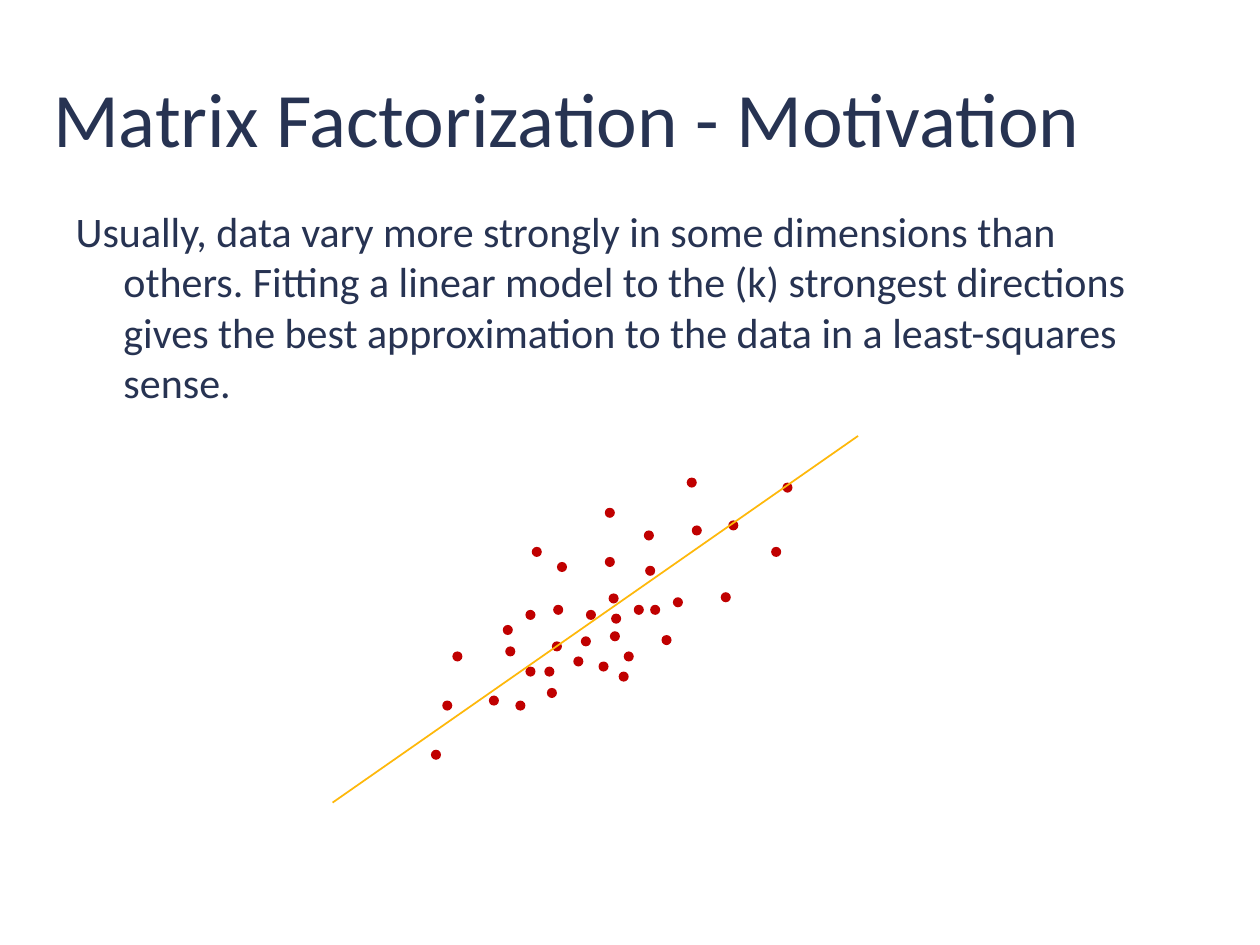
from lxml import etree
from pptx import Presentation
from pptx.dml.color import RGBColor
from pptx.enum.shapes import MSO_CONNECTOR, MSO_SHAPE
from pptx.enum.text import MSO_ANCHOR, MSO_AUTO_SIZE, PP_ALIGN
from pptx.oxml.ns import qn
from pptx.util import Inches, Pt

STRAIGHT = MSO_CONNECTOR.STRAIGHT
OVAL = MSO_SHAPE.OVAL
MIDDLE, TOP = MSO_ANCHOR.MIDDLE, MSO_ANCHOR.TOP
FIXED = MSO_AUTO_SIZE.NONE
CENTER, LEFT = PP_ALIGN.CENTER, PP_ALIGN.LEFT

FONT = "Calibri"
NAVY, RED, AMBER, WHITE = "273352", "C00000", "FEB80A", "FFFFFF"
POINT_SIZE = 0.08

DATA_POINTS = [
    (4.65, 4.84), (5.78, 4.13), (3.51, 5.56), (5.11, 4.21), (4.01, 5.13),
    (4.42, 4.46), (5.34, 4.74), (4.09, 5.56), (5.03, 4.80), (6.12, 4.34),
    (3.88, 5.52), (5.49, 4.17), (4.38, 5.09), (4.80, 4.42), (5.72, 4.70),
    (4.55, 5.21), (5.12, 4.49), (4.17, 4.84), (4.75, 5.25), (5.25, 5.04),
    (4.17, 5.29), (4.34, 5.46), (4.95, 5.17), (4.84, 5.01), (3.59, 5.17),
    (4.39, 4.80), (4.83, 4.71), (4.61, 5.05), (5.16, 4.80), (3.99, 4.96),
    (4.91, 5.33), (3.42, 5.95), (6.21, 3.83), (4.80, 4.03), (5.45, 3.79),
    (4.22, 4.34), (4.32, 5.29), (4.85, 4.87),
]


def color(value):
    return RGBColor.from_string(value)


class SlideBuilder:
    def __init__(self, presentation):
        self.slide = presentation.slides.add_slide(presentation.slide_layouts[1])
        background = self.slide.background.fill
        background.solid()
        background.fore_color.rgb = color(WHITE)

    def _fill_placeholder(self, placeholder, text, box, size, align, anchor):
        placeholder.left, placeholder.top, placeholder.width, placeholder.height = map(Inches, box)
        frame = placeholder.text_frame
        frame.word_wrap = True
        frame.auto_size = FIXED
        frame.vertical_anchor = anchor
        paragraph = frame.paragraphs[0]
        paragraph.alignment = align
        run = paragraph.add_run()
        run.text = text
        run.font.name = FONT
        run.font.size = Pt(size)
        run.font.color.rgb = color(NAVY)
        return paragraph

    def title(self, text, box):
        self._fill_placeholder(self.slide.shapes.title, text, box, 44, CENTER, MIDDLE)

    def body(self, text, box):
        paragraph = self._fill_placeholder(
            self.slide.placeholders[1], text, box, 24, LEFT, TOP)
        properties = paragraph._p.get_or_add_pPr()
        properties.set("marL", str(Inches(0.38)))
        properties.set("indent", str(Inches(-0.38)))
        etree.SubElement(properties, qn("a:buNone"))

    def point(self, left, top):
        dot = self.slide.shapes.add_shape(
            OVAL, Inches(left), Inches(top), Inches(POINT_SIZE), Inches(POINT_SIZE))
        dot.shadow.inherit = False
        dot.fill.solid()
        dot.fill.fore_color.rgb = color(RED)
        dot.line.fill.background()

    def line(self, start, end):
        connector = self.slide.shapes.add_connector(
            STRAIGHT, *map(Inches, start), *map(Inches, end))
        connector.line.color.rgb = color(AMBER)
        connector.line.width = Pt(1)
        etree.SubElement(connector._element.spPr, qn("a:effectLst"))


def main():
    presentation = Presentation()
    presentation.slide_width = Inches(10)
    presentation.slide_height = Inches(7.5)

    builder = SlideBuilder(presentation)
    builder.title("Matrix Factorization - Motivation", (0, 0.3, 9, 1.25))
    builder.body(
        "Usually, data vary more strongly in some dimensions than others. "
        "Fitting a linear model to the (k) strongest directions gives the best "
        "approximation to the data in a least-squares sense.",
        (0.5, 1.58, 9, 5.5))
    for left, top in DATA_POINTS:
        builder.point(left, top)
    builder.line((2.64, 6.37), (6.81, 3.46))

    presentation.save("out.pptx")


if __name__ == "__main__":
    main()
